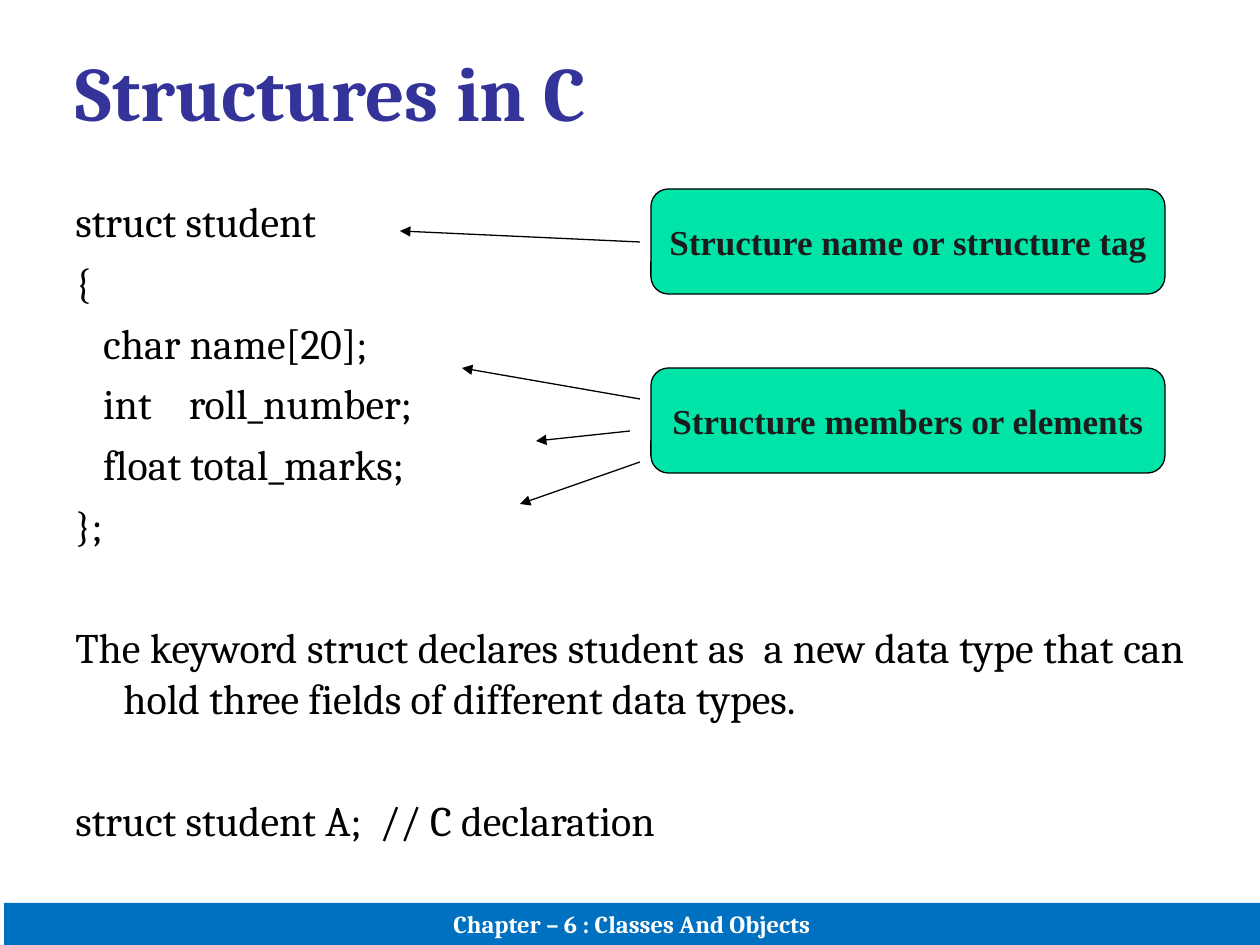
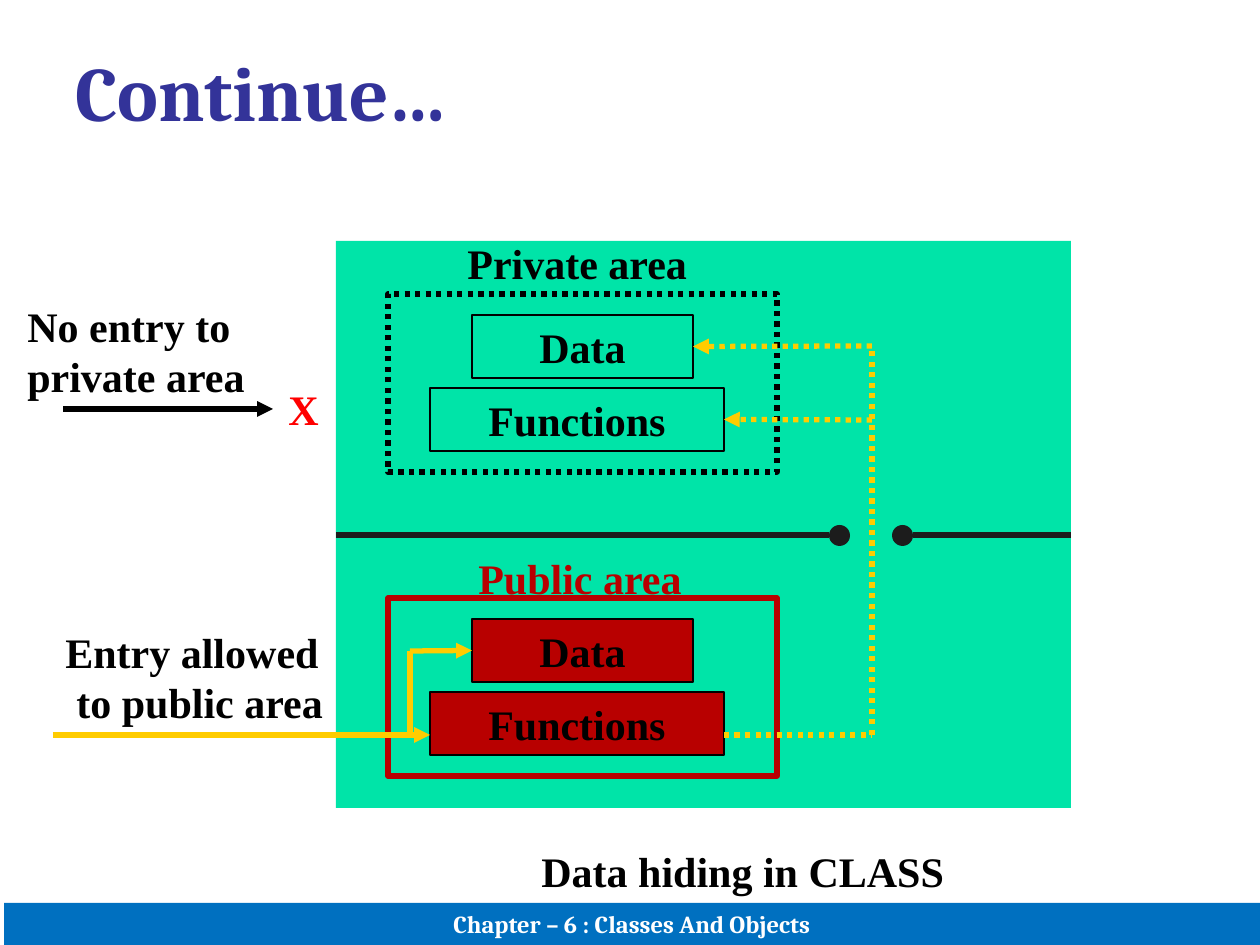
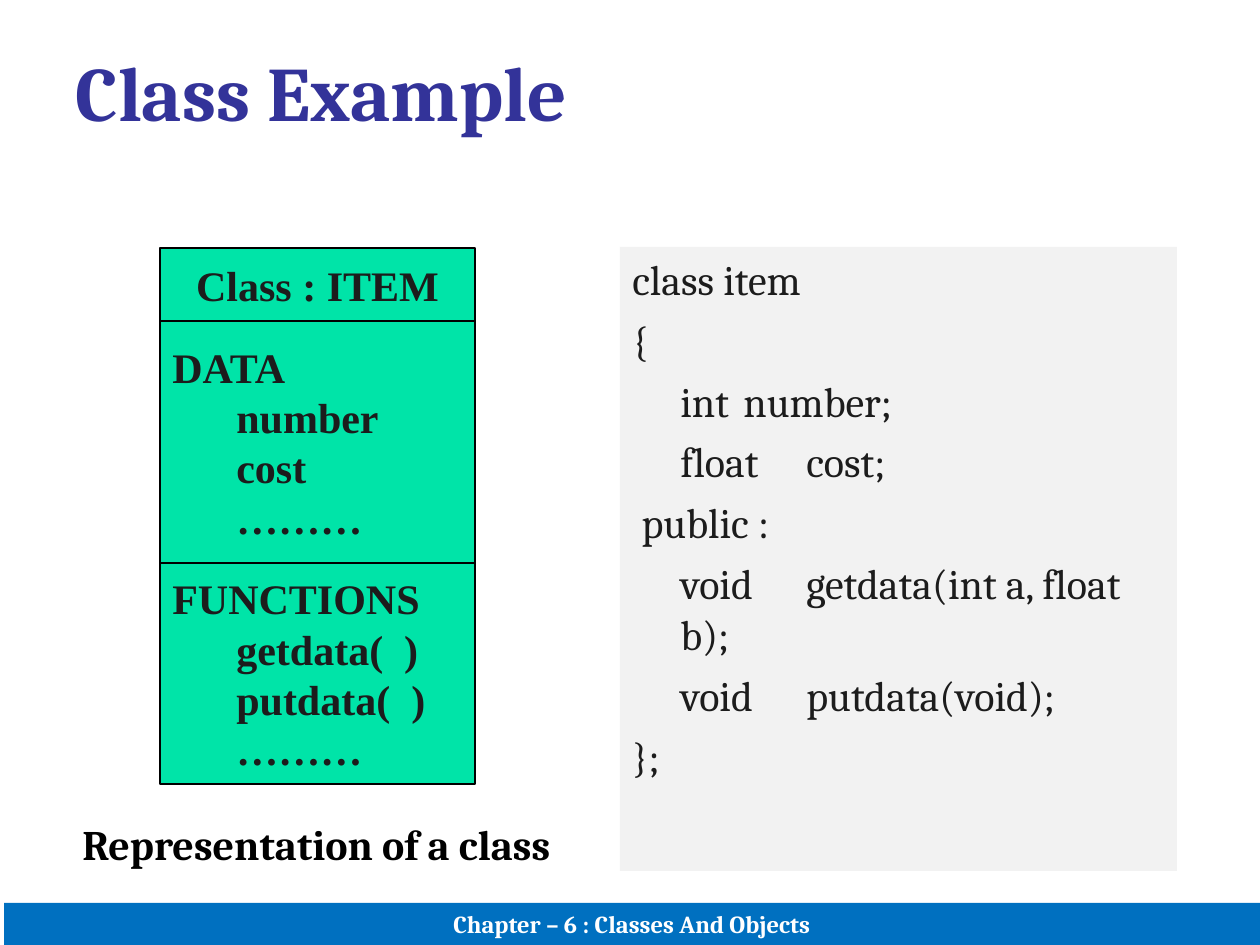
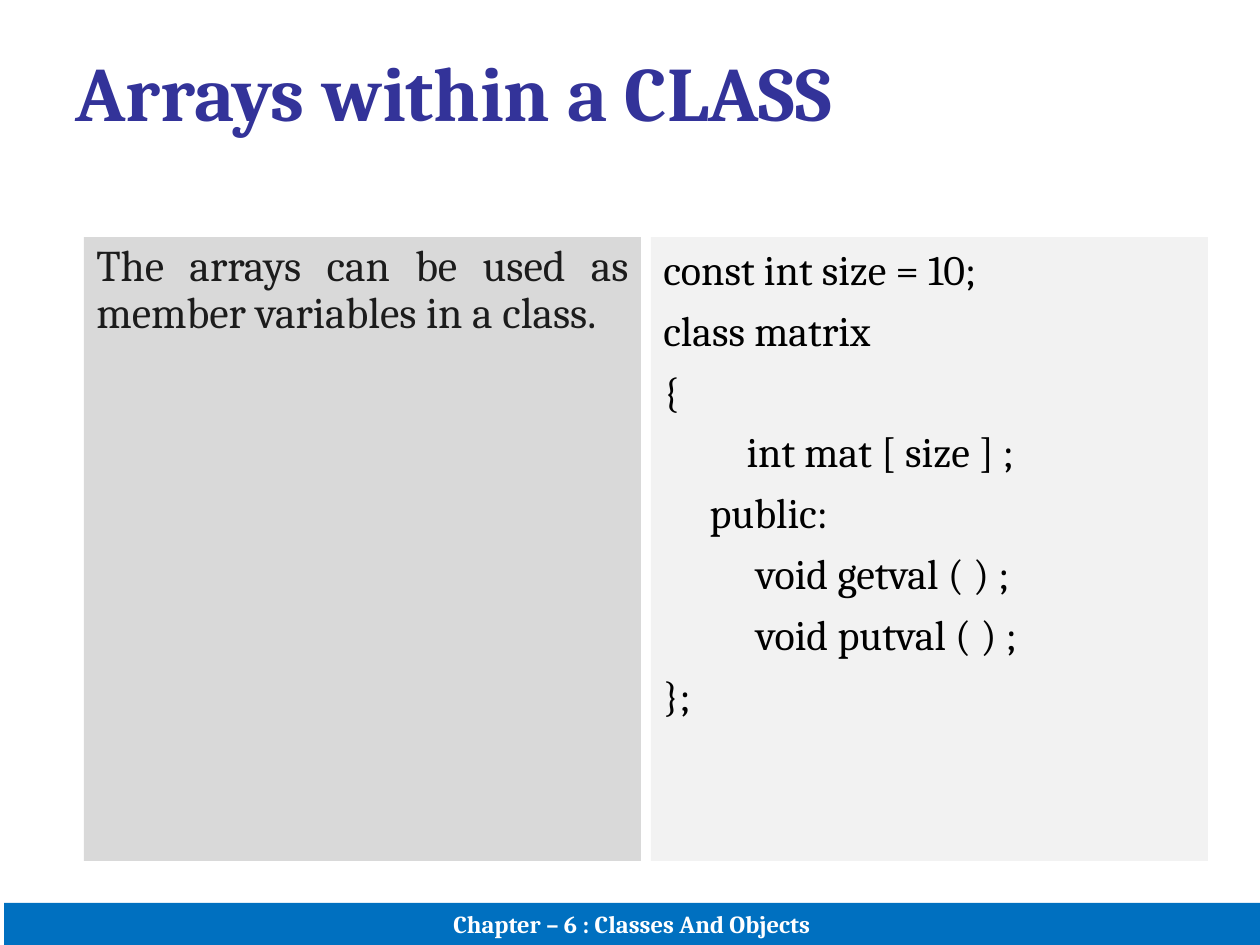
from lxml import etree
from pptx import Presentation
from pptx import util as u
from pptx.dml.color import RGBColor
from pptx.enum import dml, shapes, text
from pptx.oxml import ns

PX = 914400 / 126
SERIF = "Cambria"
ROMAN = "Times New Roman"
COLORS = {
    "black": "000000",
    "ink": "1C1C1C",
    "white": "FFFFFF",
    "title": "333399",
    "band": "0070C0",
    "green": "00E4A8",
    "crimson": "B80000",
    "red": "FF0000",
    "gold": "FFCC00",
    "pale": "F2F2F2",
    "grey": "D9D9D9",
}
FOOTER = "Chapter – 6 : Classes And Objects"
LEFT, CENTER, JUSTIFY = (text.PP_ALIGN.LEFT, text.PP_ALIGN.CENTER,
                         text.PP_ALIGN.JUSTIFY)
TOP, MIDDLE, BOTTOM = (text.MSO_ANCHOR.TOP, text.MSO_ANCHOR.MIDDLE,
                       text.MSO_ANCHOR.BOTTOM)
RECT = shapes.MSO_SHAPE.RECTANGLE
ROUNDED = shapes.MSO_SHAPE.ROUNDED_RECTANGLE
OVAL = shapes.MSO_SHAPE.OVAL


def emu(*lengths):
    return [u.Emu(round(v * PX)) for v in lengths]


def rgb(name):
    return RGBColor.from_string(COLORS[name])


def indent(p, left, first=0):
    pPr = p._p.get_or_add_pPr()
    left, first = emu(left, first)
    pPr.set("marL", str(left))
    pPr.set("indent", str(first))


def add_tabs(p, stops):
    tab_list = etree.SubElement(p._p.get_or_add_pPr(), ns.qn("a:tabLst"))
    for pos in emu(*stops):
        etree.SubElement(tab_list, ns.qn("a:tab"), pos=str(pos), algn="l")


def write(s, content, font=ROMAN, size=24, color="black", bold=True,
          align=LEFT, anchor=TOP, wrap=True, before=0, gaps=None,
          hanging=0, tabs=(), spacing=None):
    tf = s.text_frame
    tf.auto_size = text.MSO_AUTO_SIZE.NONE
    tf.word_wrap = wrap
    tf.vertical_anchor = anchor
    for i, line in enumerate(content.split("\n")):
        p = tf.add_paragraph() if i else tf.paragraphs[0]
        p.alignment = align
        if spacing:
            p.line_spacing = spacing
        p.space_before = u.Pt((gaps or {}).get(i, before) if i else 0)
        if hanging:
            indent(p, hanging, -hanging)
        if tabs:
            add_tabs(p, tabs)
        r = p.add_run()
        r.text = line
        r.font.name = font
        r.font.size = u.Pt(size)
        r.font.bold = bold
        r.font.color.rgb = rgb(color)
    return s


def add_box(slide, x, y, w, h, fill=None, line=None, width=0.75, dash=None,
            kind=RECT):
    s = slide.shapes.add_shape(kind, *emu(x, y, w, h))
    s.shadow.inherit = False
    if fill:
        s.fill.solid()
        s.fill.fore_color.rgb = rgb(fill)
    else:
        s.fill.background()
    if line:
        s.line.color.rgb = rgb(line)
        s.line.width = u.Pt(width)
        s.line.dash_style = dash
    else:
        s.line.fill.background()
    return s


def add_node(slide, label, x, y, w, h, fill="green", kind=RECT, **style):
    s = add_box(slide, x, y, w, h, fill, "black", kind=kind)
    style = {"align": CENTER, "anchor": MIDDLE, "wrap": False, **style}
    return write(s, label, **style)


def add_label(slide, content, x, y, w, h, **style):
    s = slide.shapes.add_textbox(*emu(x, y, w, h))
    return write(s, content, **{"wrap": False, **style})


def add_code(s, code, **style):
    return write(s, code, **{"font": SERIF, "bold": False, "before": 6,
                             "hanging": 48, **style})


def add_line(slide, x1, y1, x2, y2, color="black", width=3.0, dash=None,
             arrow=False, target=None, site=0):
    c = slide.shapes.add_connector(shapes.MSO_CONNECTOR.STRAIGHT,
                                   *emu(x1, y1, x2, y2))
    c.line.color.rgb = rgb(color)
    c.line.width = u.Pt(width)
    c.line.dash_style = dash
    if arrow:
        etree.SubElement(c.line._get_or_add_ln(), ns.qn("a:tailEnd"),
                         type="triangle")
    etree.SubElement(c._element.spPr, ns.qn("a:effectLst"))
    if target is not None:
        c.end_connect(target, site)
    return c


def add_slide(prs, title, title_height=98):
    slide = prs.slides.add_slide(prs.slide_layouts[5])
    s = slide.shapes.title
    s.left, s.top, s.width, s.height = emu(63, 38, 1134, title_height)
    write(s, title, font=SERIF, size=44, color="title")
    band = add_box(slide, 4, 903, 1256, 42, "band")
    write(band, FOOTER, font=SERIF, size=14, color="white", align=CENTER,
          anchor=BOTTOM)
    return slide


def structures_slide(prs):
    slide = add_slide(prs, "Structures in C")
    body = slide.shapes.add_textbox(*emu(63, 189, 1134, 672))
    add_code(body, "struct student\n{\n   char name[20];\n"
                   "   int    roll_number;\n   float total_marks;\n};\n"
                   "The keyword struct declares student as  a new data type "
                   "that can hold three fields of different data types.\n"
                   "struct student A;  // C declaration",
             align=JUSTIFY, gaps={6: 41, 7: 41})
    for label, y in (("Structure name or structure tag", 189),
                     ("Structure members or elements", 368)):
        add_node(slide, label, 651, y, 514, 105, kind=ROUNDED, size=20,
                 color="ink")
    for ends in ((640, 242, 400, 231), (640, 399, 462, 368),
                 (630, 431, 536, 441), (640, 462, 520, 504)):
        add_line(slide, *ends, width=0.75, arrow=True)


def add_area(slide, offset, fill, outline, dash=None):
    add_box(slide, 388, 294 + offset, 389, 178, line=outline, width=3,
            dash=dash)
    data = add_node(slide, "Data", 472, 315 + offset, 221, 63, fill)
    functions = add_node(slide, "Functions", 430, 388 + offset, 294, 63, fill)
    return data, functions


def data_hiding_slide(prs):
    slide = add_slide(prs, "Continue…")
    dots = dml.MSO_LINE.ROUND_DOT
    add_box(slide, 336, 241, 735, 567, "green")
    for x in (829, 892):
        add_box(slide, x, 525, 21, 21, "ink", kind=OVAL)
    for x1, x2 in ((913, 1071), (829, 336)):
        add_line(slide, x1, 535, x2, 535, "ink")

    private_data, private_functions = add_area(slide, 0, "green", "black",
                                               dots)
    public_data, _ = add_area(slide, 304, "crimson", "crimson")
    add_label(slide, "Private area", 455, 231, 246, 63)
    add_label(slide, "Public area", 466, 546, 229, 63, color="crimson")

    add_line(slide, 53, 735, 430, 735, "gold", arrow=True)
    add_line(slide, 410, 651, 472, 651, "gold", arrow=True,
             target=public_data, site=1)
    add_line(slide, 410, 651, 410, 735, "gold")
    add_line(slide, 724, 735, 872, 735, "gold", dash=dots)
    add_line(slide, 872, 735, 872, 346, "gold", dash=dots)
    for y, target in ((420, private_functions), (346, private_data)):
        add_line(slide, 872, y, 724, y, "gold", dash=dots, arrow=True,
                 target=target, site=3)

    add_label(slide, "No entry to\nprivate area", 15, 294, 243, 113)
    add_line(slide, 63, 409, 273, 409, arrow=True)
    add_label(slide, "X", 276, 377, 55, 63, color="red")
    entry = add_label(slide, "Entry allowed\nto public area", 53, 620, 282,
                      113)
    indent(entry.text_frame.paragraphs[1], 11)
    add_label(slide, "Data hiding in CLASS", 529, 839, 437, 63, wrap=True)


def class_example_slide(prs):
    slide = add_slide(prs, "Class Example")
    panel = add_box(slide, 620, 247, 557, 624, "pale")
    add_code(panel, "class item\n{\n\tint\tnumber;\n\tfloat\tcost;\n"
                    " public :\n\tvoid\tgetdata(int a, float b);\n"
                    "\tvoid\tputdata(void);\n};",
             color="ink", tabs=range(0, 1008, 126))
    top = 248
    for content, height, style in (
            ("Class : ITEM", 73, {}),
            ("DATA\n\tnumber\n\tcost\n\t………", 242,
             {"align": LEFT, "tabs": (0, 64)}),
            ("FUNCTIONS\n\tgetdata(  )\n\tputdata(  )\n\t………", 221,
             {"align": LEFT, "tabs": (0, 64)})):
        add_node(slide, content, 160, top, 315, height, color="ink", **style)
        top += height
    add_label(slide, "Representation of a class", 70, 812, 494, 63,
              font=SERIF)


def arrays_slide(prs):
    slide = add_slide(prs, "Arrays within a CLASS", title_height=141)
    note, code = (add_box(slide, x, 237, 557, 624, fill)
                  for x, fill in ((84, "grey"), (651, "pale")))
    write(note, "The arrays can be used as member variables in a class.",
          font=SERIF, size=25, color="ink", bold=False, align=JUSTIFY,
          spacing=0.9)
    add_code(code, "const int size = 10;\nclass matrix\n{\n"
                   "         int mat [ size ] ;\n     public:\n"
                   "          void getval ( ) ;\n"
                   "          void putval ( ) ;\n};")


def main():
    prs = Presentation()
    prs.slide_width, prs.slide_height = emu(1260, 945)
    structures_slide(prs)
    data_hiding_slide(prs)
    class_example_slide(prs)
    arrays_slide(prs)
    prs.save("out.pptx")


if __name__ == "__main__":
    main()
